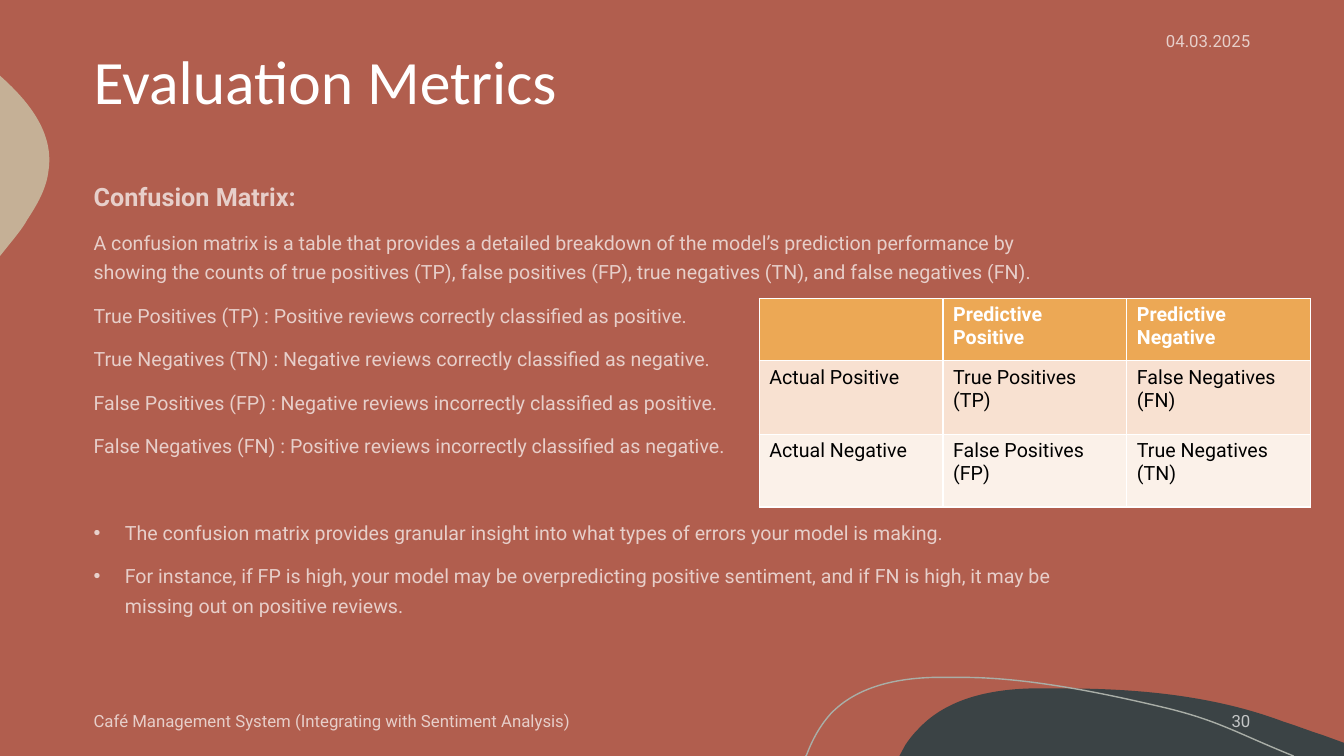
from dataclasses import dataclass

from lxml.etree import Element, SubElement
from pptx import Presentation
from pptx.dml.color import RGBColor
from pptx.enum.text import MSO_ANCHOR as Anchor, PP_ALIGN as Align
from pptx.oxml.ns import qn
from pptx.util import Inches, Pt


@dataclass(frozen=True)
class Theme:
    background: str = "B15E4E"
    white: str = "FFFFFF"
    black: str = "000000"
    slate: str = "3B4345"
    sand: str = "C5B096"
    outline: str = "A9AEA7"
    header_fill: str = "ECA855"
    row_fills: tuple = ("F8E1D1", "FBF1E9")
    title_font: str = "Calibri"
    body_font: str = "Roboto"
    title_size: int = 44
    heading_size: int = 18
    body_size: int = 14
    footer_size: int = 12
    soft_opacity: int = 70


class SlideBuilder:
    def __init__(self, slide, theme):
        self.slide = slide
        self.theme = theme
        fill = slide.background.fill
        fill.solid()
        fill.fore_color.rgb = RGBColor.from_string(theme.background)

    def curve(self, start, steps, fill=None, line=None):
        """Draw corners (x, y) and cubic curves (x1, y1, x2, y2, x, y)."""
        builder = self.slide.shapes.build_freeform(*map(Inches, start))
        corners = [tuple(map(Inches, step[-2:])) for step in steps]
        builder.add_line_segments(corners, close=fill is not None)
        shape = builder.convert_to_shape()
        self.bend(shape, steps)
        shape.shadow.inherit = False
        if fill:
            shape.fill.solid()
            shape.fill.fore_color.rgb = RGBColor.from_string(fill)
        else:
            shape.fill.background()
        if line:
            shape.line.color.rgb = RGBColor.from_string(line)
            shape.line.width = Pt(1)
        else:
            shape.line.fill.background()

    def bend(self, shape, steps):
        """Replace the straight segments of a freeform by its cubic curves."""
        segments = list(shape._element.iter(qn("a:lnTo")))
        for segment, step in zip(segments, steps):
            if len(step) == 2:
                continue
            cubic = Element(qn("a:cubicBezTo"))
            for x, y in zip(step[::2], step[1::2]):
                SubElement(cubic, qn("a:pt"), x=str(Inches(x) - shape.left),
                           y=str(Inches(y) - shape.top))
            segment.getparent().replace(segment, cubic)

    def style(self, paragraph, size, color, font=None, bold=False, opacity=100):
        paragraph.font.name = font or self.theme.body_font
        paragraph.font.size = Pt(size)
        paragraph.font.bold = bold
        paragraph.font.color.rgb = RGBColor.from_string(color)
        if opacity < 100:
            for rgb in paragraph._p.iter(qn("a:srgbClr")):
                SubElement(rgb, qn("a:alpha"), val=str(opacity * 1000))

    def frame(self, box, anchor):
        frame = self.slide.shapes.add_textbox(*map(Inches, box)).text_frame
        frame.word_wrap = True
        frame.vertical_anchor = anchor
        return frame

    def title(self, text, box):
        paragraph = self.frame(box, Anchor.MIDDLE).paragraphs[0]
        paragraph.text = text
        paragraph.line_spacing = 0.9
        self.style(paragraph, self.theme.title_size, self.theme.white, self.theme.title_font)

    def label(self, text, box, align=Align.LEFT):
        paragraph = self.frame(box, Anchor.MIDDLE).paragraphs[0]
        paragraph.text = text
        paragraph.alignment = align
        self.style(paragraph, self.theme.footer_size, self.theme.white,
                   opacity=self.theme.soft_opacity)

    def body(self, heading, statements, bullets, box):
        frame = self.frame(box, Anchor.TOP)
        for index, text in enumerate([heading, *statements, *bullets]):
            paragraph = frame.paragraphs[0] if index == 0 else frame.add_paragraph()
            paragraph.text = text
            paragraph.line_spacing = 1.25
            first_bullet = index == 1 + len(statements)
            paragraph.space_before = Pt(41 if first_bullet else 10)
            if index > len(statements):
                self.bullet(paragraph)
            size = self.theme.body_size if index else self.theme.heading_size
            self.style(paragraph, size, self.theme.white, bold=index == 0,
                       opacity=self.theme.soft_opacity)

    def bullet(self, paragraph):
        properties = paragraph._p.get_or_add_pPr()
        indent = Inches(0.31)
        properties.set("marL", str(indent))
        properties.set("indent", str(-indent))
        SubElement(properties, qn("a:buFont"), typeface="Arial")
        SubElement(properties, qn("a:buChar"), char="•")

    def table(self, rows, left, top, width, row_heights):
        columns = len(rows[0])
        table = self.slide.shapes.add_table(
            len(rows), columns, Inches(left), Inches(top),
            Inches(width), Inches(sum(row_heights)),
        ).table
        fills = (self.theme.header_fill, *self.theme.row_fills)
        for index, (texts, height, fill) in enumerate(zip(rows, row_heights, fills)):
            table.rows[index].height = Inches(height)
            header = index == 0
            for column, text in enumerate(texts):
                cell = table.cell(index, column)
                cell.fill.solid()
                cell.fill.fore_color.rgb = RGBColor.from_string(fill)
                cell.text = text
                self.style(cell.text_frame.paragraphs[0], self.theme.body_size,
                           self.theme.white if header else self.theme.black, bold=header)


def main():
    presentation = Presentation()
    presentation.slide_width = Inches(13.33)
    presentation.slide_height = Inches(7.5)
    theme = Theme()
    builder = SlideBuilder(presentation.slides.add_slide(presentation.slide_layouts[6]), theme)

    builder.curve((10.54, 6.83), [
        (11.28, 6.83, 12.04, 6.9, 12.73, 7.16), (12.86, 7.2, 12.98, 7.25, 13.11, 7.29),
        (13.33, 7.37), (13.33, 7.5), (8.92, 7.5), (8.98, 7.39),
        (9.02, 7.33, 9.06, 7.28, 9.11, 7.23), (9.39, 6.93, 9.82, 6.84, 10.23, 6.83),
        (10.33, 6.83, 10.43, 6.83, 10.54, 6.83),
    ], fill=theme.slate)
    builder.curve((0, 0.75), [
        (0.01, 0.76), (0.3, 1.02, 0.54, 1.33, 0.48, 1.7), (0.46, 1.87, 0.37, 2.03, 0.27, 2.18),
        (0.24, 2.24, 0.17, 2.33, 0.08, 2.44), (0, 2.54),
    ], fill=theme.sand)
    builder.curve((7.99, 7.5), [
        (8, 7.49), (8.06, 7.33, 8.14, 7.19, 8.24, 7.08), (8.5, 6.81, 8.89, 6.73, 9.26, 6.72),
        (9.55, 6.72), (10.22, 6.72, 11, 6.89, 11.55, 7.02),
        (12.09, 7.15, 12.26, 7.27, 12.83, 7.5),
    ], line=theme.outline)

    builder.title("Evaluation Metrics", (0.83, 0, 11.67, 1.67))
    builder.label("04.03.2025", (10.27, 0.21, 2.23, 0.4), Align.RIGHT)
    builder.body("Confusion Matrix:", [
        "A confusion matrix is a table that provides a detailed breakdown of the model’s "
        "prediction performance by showing the counts of true positives (TP), false positives "
        "(FP), true negatives (TN), and false negatives (FN).",
        "True Positives (TP) : Positive reviews correctly classified as positive.",
        "True Negatives (TN) : Negative reviews correctly classified as negative.",
        "False Positives (FP) : Negative reviews incorrectly classified as positive.",
        "False Negatives (FN) : Positive reviews incorrectly classified as negative.",
    ], [
        "The confusion matrix provides granular insight into what types of errors your model "
        "is making.",
        "For instance, if FP is high, your model may be overpredicting positive sentiment, and "
        "if FN is high, it may be missing out on positive reviews.",
    ], (0.83, 1.67, 9.72, 4.92))
    builder.label("Café Management System (Integrating with Sentiment Analysis)",
                  (0.83, 6.95, 7.23, 0.4))
    builder.label("30", (10.83, 6.95, 1.67, 0.4), Align.RIGHT)
    builder.table([
        ("", "Predictive Positive", "Predictive Negative"),
        ("Actual Positive", "True Positives (TP)", "False Negatives (FN)"),
        ("Actual Negative", "False Positives (FP)", "True Negatives (TN)"),
    ], 7.53, 2.96, 5.47, (0.62, 0.73, 0.72))
    presentation.save("out.pptx")


if __name__ == "__main__":
    main()
